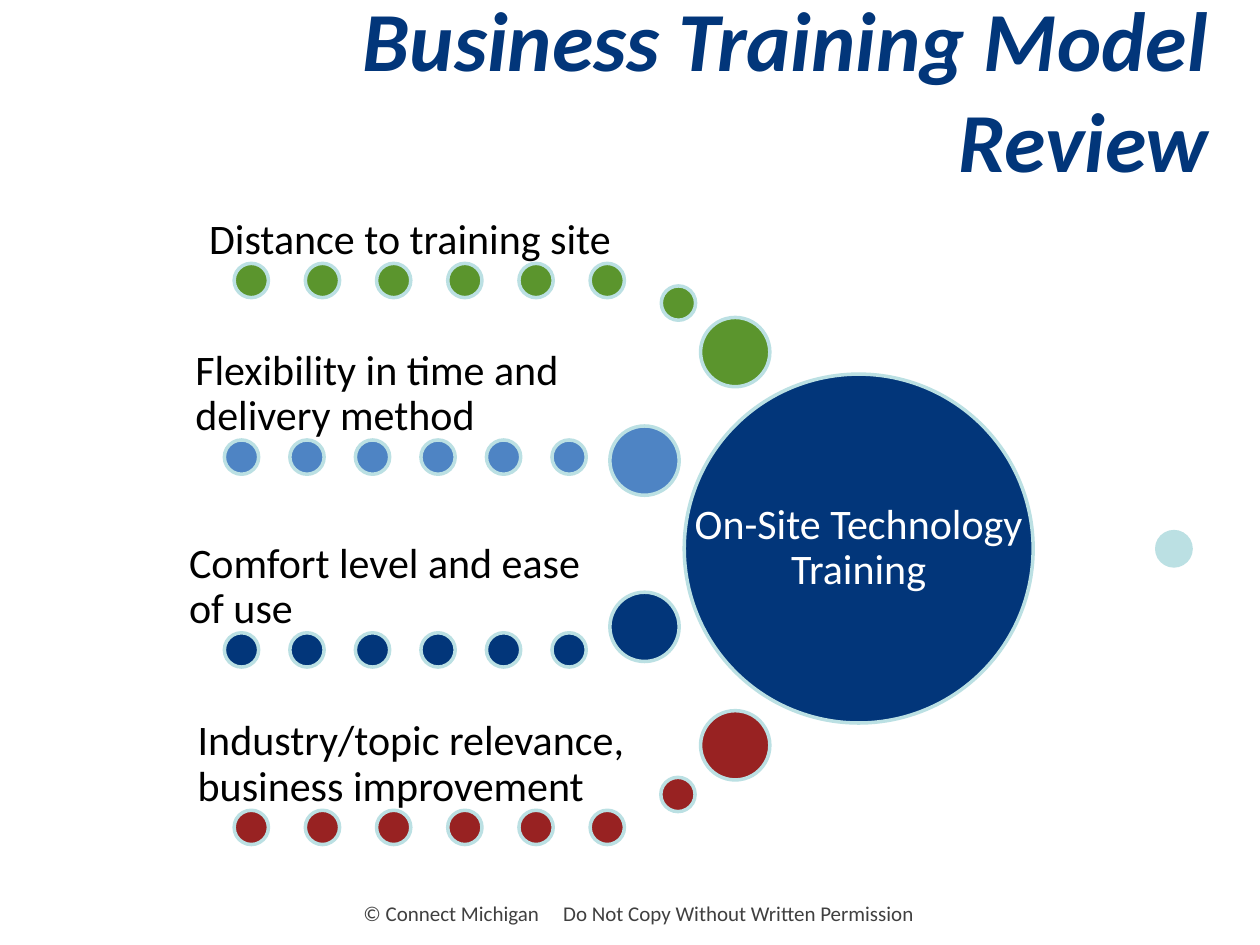
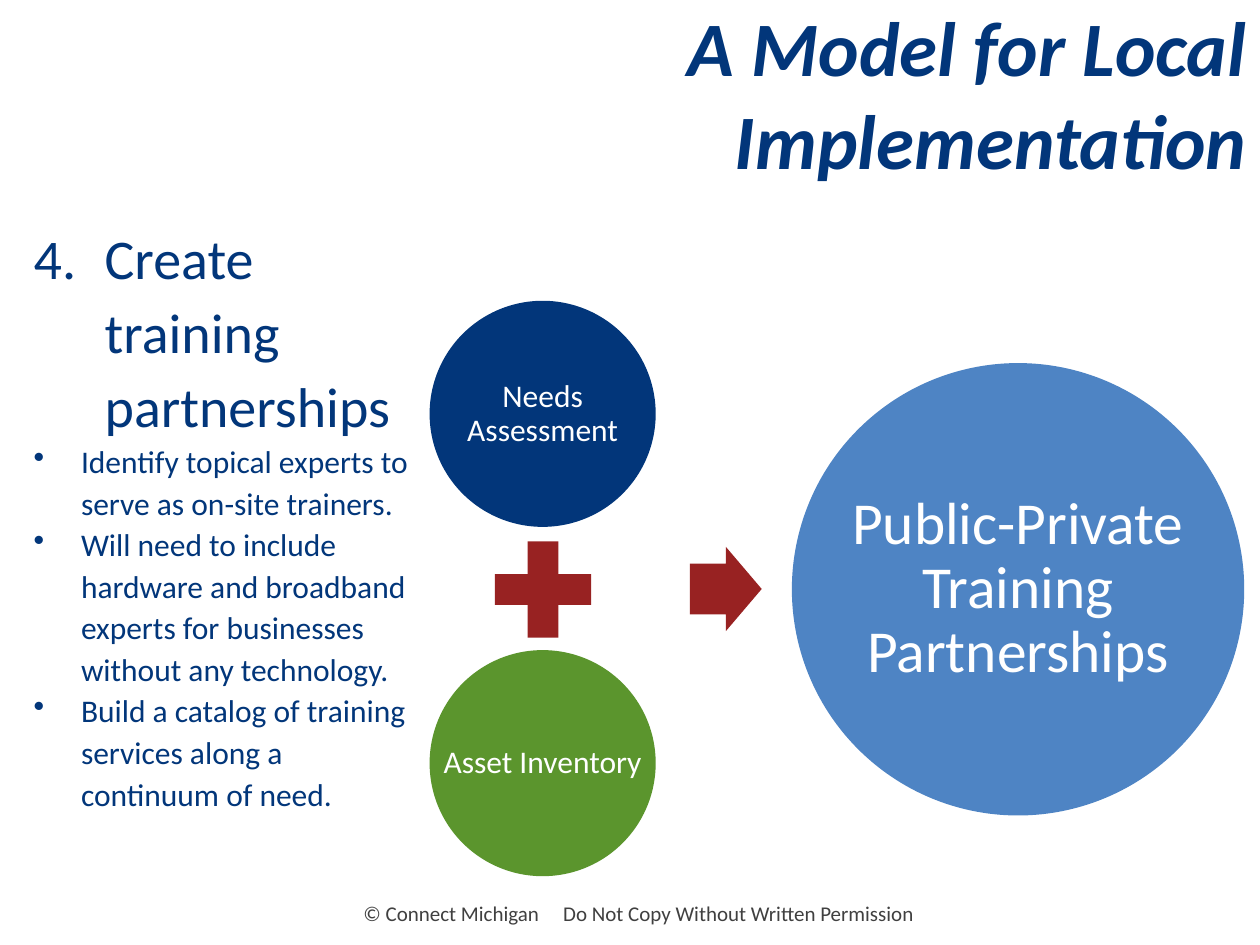
import pptx
import pptx.util
import pptx.dml.color
import pptx.enum.shapes
import pptx.enum.text
import lxml.etree

Pt = pptx.util.Pt
RGB = pptx.dml.color.RGBColor
KIND = pptx.enum.shapes.MSO_SHAPE
ALIGN = pptx.enum.text.PP_ALIGN
ANCHOR = pptx.enum.text.MSO_ANCHOR

NAVY = RGB(0x02, 0x36, 0x7A)
GREEN = RGB(0x5B, 0x95, 0x2D)
BLUE = RGB(0x4E, 0x84, 0xC4)
RED = RGB(0x98, 0x22, 0x22)
PALE = RGB(0xBB, 0xE0, 0xE3)
GRAY = RGB(0x40, 0x40, 0x40)
BLACK = RGB(0, 0, 0)
WHITE = RGB(255, 255, 255)
FONT = "Calibri"

FOOTER = ["© Connect Michigan", "Do Not Copy Without Written Permission"]
DOT, BALL = 19.6, 39.6
HUB = ("On-Site Technology Training", 391, 213.8, 199.4)
FACTORS = [
    {"text": "Distance to training site", "color": GREEN, "left": 119.5, "width": 251.3,
     "row": (133.8, 40.68, 150.5), "ball": (400.3, 181.4), "link": (377.9, 163.4)},
    {"text": "Flexibility in time and delivery method", "color": BLUE, "left": 111.6, "width": 239.8,
     "row": (128.2, 37.44, 251.4), "ball": (348.5, 243.4), "link": None},
    {"text": "Comfort level and ease of use", "color": NAVY, "left": 108, "width": 246.2,
     "row": (128.2, 37.44, 361.6), "ball": (348.5, 338.4), "link": None},
    {"text": "Industry/topic relevance, business improvement", "color": RED, "left": 113, "width": 263.5,
     "row": (133.8, 40.68, 463), "ball": (400.3, 406.1), "link": (377.6, 444.2)},
]

STEP = "Create training partnerships"
TASKS = [
    "Identify topical experts to serve as on-site trainers.",
    "Will need to include hardware and broadband experts for businesses without any technology.",
    "Build a catalog of training services along a continuum of need.",
]
DISCS = [
    ("Needs Assessment", 245.5, 171.9, 129.2, 18, NAVY),
    ("Asset Inventory", 245.5, 371.5, 129.2, 18, GREEN),
    ("Public-Private Training Partnerships", 452.5, 207.5, 258.5, 34, BLUE),
]
SIGNS = [
    (KIND.MATH_PLUS, (272.9, 299.5, 74.9, 74.9), ()),
    (KIND.RIGHT_ARROW, (394.3, 312.5, 41, 48.2), (0.6, 0.5)),
]


def add_run(para, text, size, color):
    run = para.add_run()
    run.text = text
    font = run.font
    font.name, font.size, font.color.rgb = FONT, Pt(size), color
    return run


def add_box(slide, area, anchor, side=7.2, edge=3.6):
    frame = slide.shapes.add_textbox(*map(Pt, area)).text_frame
    frame.word_wrap = True
    frame.vertical_anchor = anchor
    frame.margin_left = frame.margin_right = Pt(side)
    frame.margin_top = frame.margin_bottom = Pt(edge)
    return frame


def add_label(slide, area, text, size, color, align, anchor, inset):
    para = add_box(slide, area, anchor, inset, inset).paragraphs[0]
    para.alignment, para.line_spacing = align, 0.9
    add_run(para, text, size, color)


def add_form(slide, kind, area, fill, line=None):
    form = slide.shapes.add_shape(kind, *map(Pt, area))
    form.shadow.inherit = False
    form.fill.solid()
    form.fill.fore_color.rgb = fill
    if line is None:
        form.line.fill.background()
    else:
        form.line.color.rgb, form.line.width = line, Pt(2)
    return form


def add_disc(slide, text, left, top, width, size, fill, line=None):
    area = (left, top, width, width)
    add_form(slide, KIND.OVAL, area, fill, line)
    add_label(slide, area, text, size, WHITE, ALIGN.CENTER, ANCHOR.MIDDLE, 2.5)


def add_ball(slide, left, top, width, fill):
    add_form(slide, KIND.OVAL, (left, top, width, width), fill, PALE)


def start_slide(deck, text, left, top, size):
    slide = deck.slides.add_slide(deck.slide_layouts[5])
    title = slide.shapes.title
    title.left, title.top, title.width, title.height = map(Pt, (left, top, 612, 90))
    frame = title.text_frame
    frame.word_wrap = True
    frame.auto_size = pptx.enum.text.MSO_AUTO_SIZE.NONE
    frame.vertical_anchor = ANCHOR.MIDDLE
    frame.margin_bottom = Pt(57.3)
    para = frame.paragraphs[0]
    para.alignment = ALIGN.RIGHT
    font = add_run(para, text, size, NAVY).font
    font.bold = font.italic = True

    para = add_box(slide, (30.2, 511.2, 669.6, 28.8), ANCHOR.TOP).paragraphs[0]
    para.alignment = ALIGN.CENTER
    owner, notice = FOOTER
    add_run(para, owner, 12, GRAY)
    gap = add_run(para, " ", 12, GRAY)
    gap.font._element.set("spc", "1090")
    add_run(para, notice, 12, GRAY)
    return slide


def add_item(para, text, size, indent, tag, **marks):
    props = para._p.get_or_add_pPr()
    props.set("marL", str(Pt(indent)))
    props.set("indent", str(-Pt(indent)))
    lxml.etree.SubElement(props, pptx.oxml.ns.qn(tag), **marks)
    para.line_spacing = 1.1
    add_run(para, text, size, NAVY)


def build_review(deck):
    slide = start_slide(deck, "Business Training Model Review", 85.7, 32.4, 48)
    add_ball(slide, 661, 303.8, DOT, PALE)
    add_disc(slide, *HUB, 24, NAVY, PALE)
    for item in FACTORS:
        color = item["color"]
        first, step, top = item["row"]
        add_ball(slide, *item["ball"], BALL, color)
        if item["link"]:
            add_ball(slide, *item["link"], DOT, color)
        for col in range(6):
            add_ball(slide, first + col * step, top, DOT, color)
        area = (item["left"], top - 49, item["width"], 49)
        add_label(slide, area, item["text"], 24, BLACK, ALIGN.LEFT, ANCHOR.BOTTOM, 0)


def build_model(deck):
    slide = start_slide(deck, "A Model for Local Implementation", 108, 34.6, 44)
    frame = add_box(slide, (12.2, 120.2, 234, 355.7), ANCHOR.TOP)
    add_item(frame.paragraphs[0], STEP, 32, 40.5, "a:buAutoNum", type="arabicPeriod", startAt="4")
    for task in TASKS:
        add_item(frame.add_paragraph(), task, 18, 27, "a:buChar", char="•")
    for disc in DISCS:
        add_disc(slide, *disc)
    for kind, area, ratios in SIGNS:
        sign = add_form(slide, kind, area, RED)
        for spot, ratio in enumerate(ratios):
            sign.adjustments[spot] = ratio


def main():
    deck = pptx.Presentation()
    deck.slide_width, deck.slide_height = Pt(720), Pt(540)
    build_review(deck)
    build_model(deck)
    deck.save("out.pptx")


if __name__ == "__main__":
    main()
